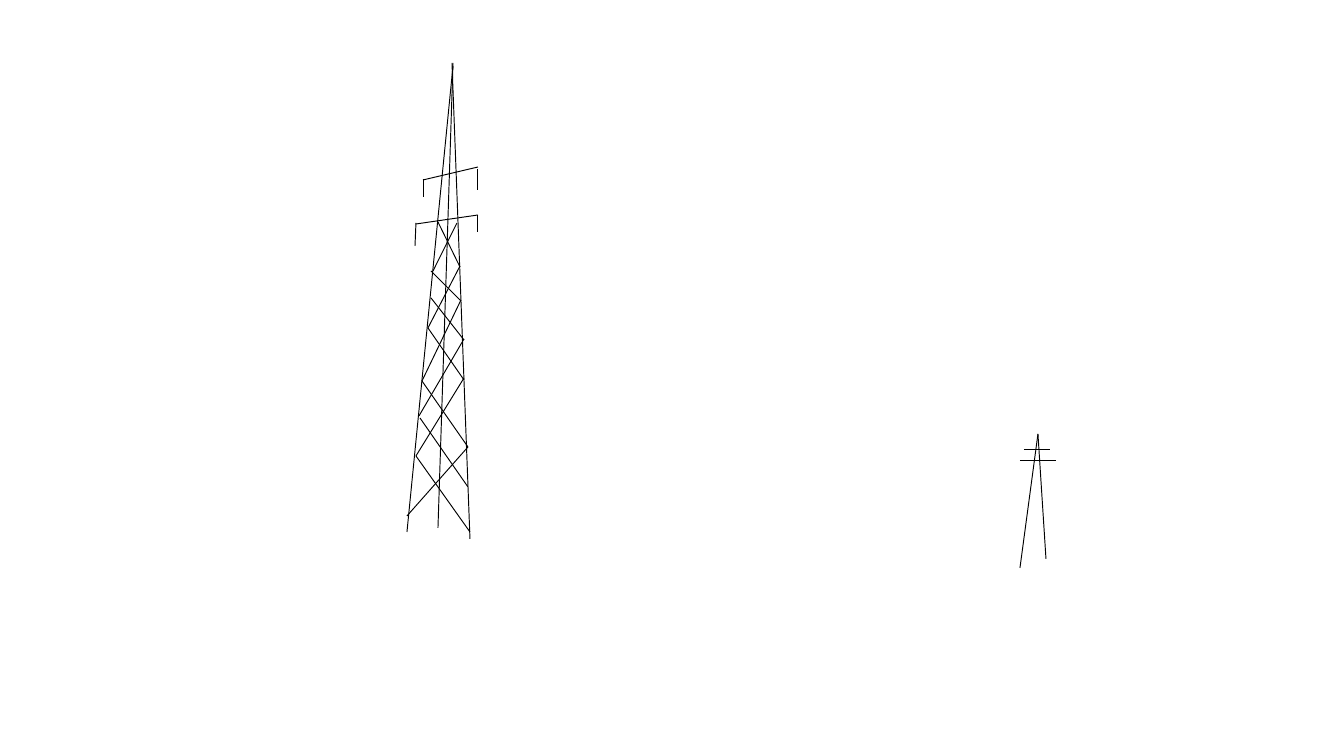
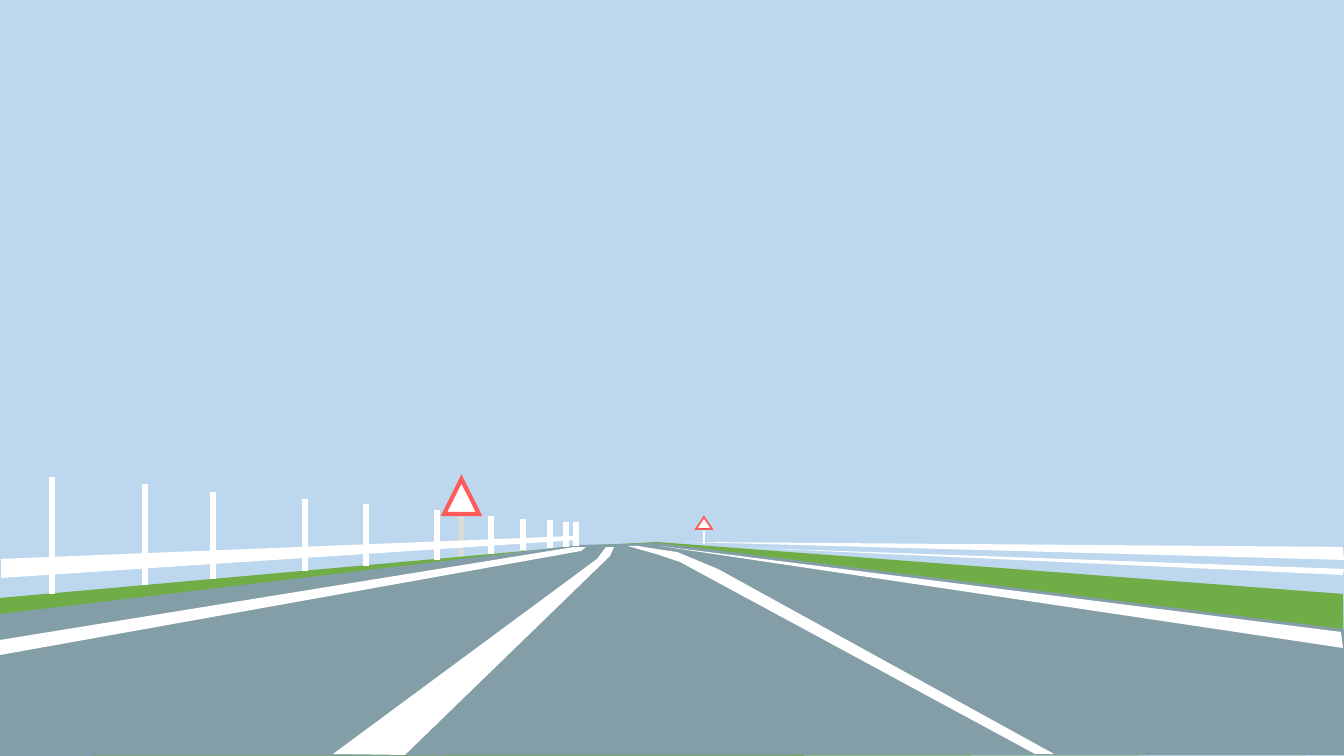
from lxml import etree
from pptx import Presentation
from pptx.dml.color import RGBColor
from pptx.enum.shapes import MSO_CONNECTOR, MSO_SHAPE
from pptx.oxml.ns import qn
from pptx.util import Pt

STRAIGHT = MSO_CONNECTOR.STRAIGHT
TRIANGLE = MSO_SHAPE.ISOSCELES_TRIANGLE
PIXEL = 914400 / 134.4
WIDTH, HEIGHT = 1344, 756
BLANK_LAYOUT = 6

BLACK, WHITE = "000000", "FFFFFF"
SKY, GRASS, ASPHALT = "BDD7EE", "70AD47", "839EA7"
WARNING_RED, POST_GREY = "FF5B5B", "DBDBDB"


def emu(pixels):
    return round(pixels * PIXEL)


def color(hex_text):
    return RGBColor.from_string(hex_text)


class Scene:
    """Draws grouped elements on the current slide."""

    def __init__(self):
        self.deck = Presentation()
        self.deck.slide_width = emu(WIDTH)
        self.deck.slide_height = emu(HEIGHT)
        self.page = None
        self.group = None

    def new_page(self, background):
        layout = self.deck.slide_layouts[BLANK_LAYOUT]
        self.page = self.deck.slides.add_slide(layout)
        fill = self.page.background.fill
        fill.solid()
        fill.fore_color.rgb = color(background)

    def new_group(self):
        self.group = self.page.shapes.add_group_shape().shapes

    def stroke(self, element, hex_text, points):
        element.line.color.rgb = color(hex_text)
        element.line.width = Pt(points)

    def line(self, x1, y1, x2, y2, hex_text, points):
        connector = self.group.add_connector(
            STRAIGHT, emu(x1), emu(y1), emu(x2), emu(y2))
        self.stroke(connector, hex_text, points)
        etree.SubElement(connector._element.spPr, qn("a:effectLst"))

    def paint(self, shape, fill, outline=None, points=1):
        shape.shadow.inherit = False
        shape.fill.solid()
        shape.fill.fore_color.rgb = color(fill)
        if outline:
            self.stroke(shape, outline, points)
        else:
            shape.line.fill.background()

    def polygon(self, corners, fill, outline=None):
        builder = self.group.build_freeform(*corners[0], scale=PIXEL)
        builder.add_line_segments(corners[1:], close=True)
        self.paint(builder.convert_to_shape(), fill, outline)

    def warning_sign(self, left, top, width, height, points):
        sign = self.group.add_shape(
            TRIANGLE, emu(left), emu(top), emu(width), emu(height))
        self.paint(sign, WHITE, WARNING_RED, points)
        # Sharp corners on the red border
        miter = etree.SubElement(sign.line._get_or_add_ln(), qn("a:miter"))
        miter.set("lim", "800000")


# Lattice tower: legs, cross arms with hangers, braces
TOWER = [
    (407, 532, 453, 66), (452, 63, 470, 539), (453, 63, 438, 528),
    (423, 197, 423, 179), (423, 180, 478, 167), (478, 169, 478, 190),
    (416, 224, 478, 215), (478, 215, 478, 232), (416, 223, 415, 246),
    (416, 456, 470, 532), (420, 418, 468, 487), (422, 381, 468, 447),
    (428, 328, 464, 380), (428, 328, 460, 266), (457, 223, 433, 271),
    (461, 300, 422, 381), (464, 340, 431, 298), (464, 339, 419, 416),
    (464, 378, 416, 456), (431, 271, 461, 301), (468, 447, 407, 516),
    (460, 267, 438, 222),
]
# Distant tower: legs and cross arms
FAR_TOWER = [
    (1038, 434, 1046, 559), (1038, 434, 1020, 568),
    (1024, 450, 1050, 450), (1020, 461, 1056, 461),
]

GROUND = [(581, 546), (0, 598), (0, 757), (1345, 755), (1343, 594), (657, 542)]
ROAD = [(579, 546), (0, 615), (0, 755), (1343, 754), (1343, 630), (659, 544)]
ROAD_MARKINGS = [
    # Left edge
    [(574, 547), (0, 640), (0, 655), (581, 551), (586, 547)],
    # Left lane
    [(606, 547), (614, 547), (610, 556), (405, 755), (333, 754), (597, 559)],
    # Right lane, rounded at its far end
    [(628, 546), (656, 554), (680, 562), (1035, 754), (1054, 754),
     (718, 569), (677, 552), (663, 550), (650, 548), (638, 546)],
    # Right edge
    [(660, 546), (1341, 632), (1343, 648)],
]
# Fence posts: x, top, bottom
POSTS = [
    (52, 477, 594), (145, 484, 585), (213, 492, 579), (305, 499, 571),
    (366, 504, 566), (437, 510, 560), (491, 516, 554), (523, 519, 550),
    (550, 520, 548), (566, 522, 547), (576, 522, 546),
]
LEFT_RAIL = [(575, 536), (1, 559), (1, 578), (578, 540)]
RIGHT_RAILS = [
    [(685, 542), (1343, 547), (1344, 560)],
    [(755, 548), (1344, 569), (1343, 575)],
]

scene = Scene()

# Slide 1: pylons
scene.new_page(WHITE)
for tower in (TOWER, FAR_TOWER):
    scene.new_group()
    for ends in tower:
        scene.line(*ends, BLACK, 0.5)

# Slide 2: road
scene.new_page(SKY)
scene.new_group()

# Near sign
scene.line(461, 513, 461, 556, POST_GREY, 3)
scene.warning_sign(444, 479, 35, 35, 2.25)

# Ground and road
scene.polygon(GROUND, GRASS)
scene.polygon(ROAD, ASPHALT, ASPHALT)
for marking in ROAD_MARKINGS:
    scene.polygon(marking, WHITE)

# Left fence
for x, top, bottom in POSTS:
    scene.line(x, top, x, bottom, WHITE, 3)
scene.polygon(LEFT_RAIL, WHITE)

# Far sign
scene.warning_sign(696, 517, 16, 12, 1)
scene.line(704, 531, 704, 544, WHITE, 1)

# Right rails
for rail in RIGHT_RAILS:
    scene.polygon(rail, WHITE)

scene.deck.save("out.pptx")
